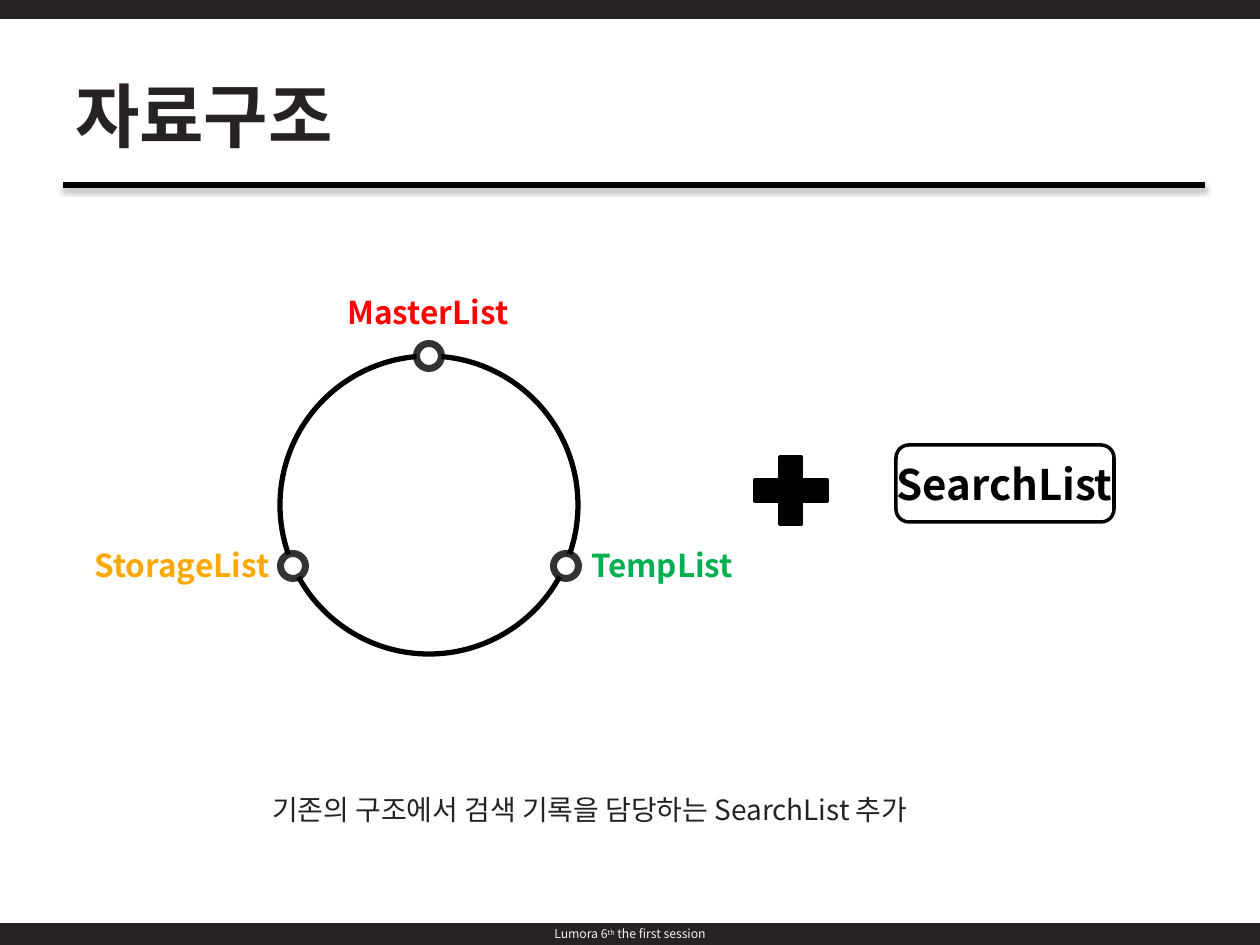
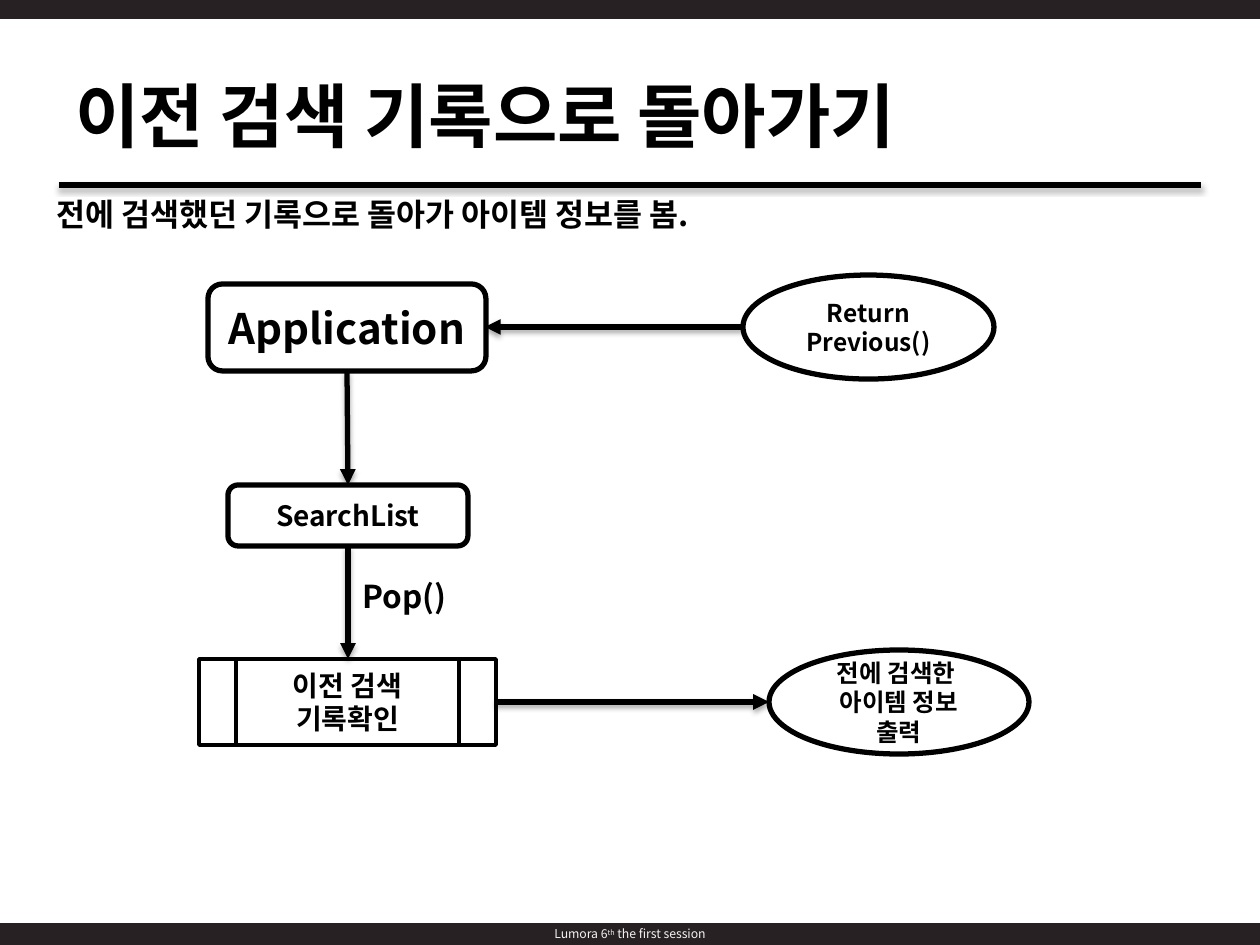
from lxml import etree
from pptx import Presentation
from pptx.dml.color import RGBColor
from pptx.enum.shapes import MSO_CONNECTOR, MSO_SHAPE
from pptx.enum.text import MSO_ANCHOR, PP_ALIGN
from pptx.oxml.ns import qn
from pptx.util import Pt

SCALE = 914400 / 126  # EMU in one pixel
WIDTH, HEIGHT = 1260, 945
FONT = "Noto Sans CJK KR"

DARK = RGBColor(0x27, 0x21, 0x23)
BLACK = RGBColor(0, 0, 0)
WHITE = RGBColor(0xFF, 0xFF, 0xFF)
PALE = RGBColor(0xF2, 0xF2, 0xF2)
RED = RGBColor(0xFF, 0, 0)
ORANGE = RGBColor(0xFD, 0xA8, 0)
GREEN = RGBColor(0, 0xB0, 0x50)

RECTANGLE = MSO_SHAPE.RECTANGLE
ROUNDED = MSO_SHAPE.ROUNDED_RECTANGLE
OVAL = MSO_SHAPE.OVAL
PLUS = MSO_SHAPE.MATH_PLUS
PROCESS = MSO_SHAPE.FLOWCHART_PREDEFINED_PROCESS
STRAIGHT = MSO_CONNECTOR.STRAIGHT
LEFT, CENTER = PP_ALIGN.LEFT, PP_ALIGN.CENTER
TOP, MIDDLE = MSO_ANCHOR.TOP, MSO_ANCHOR.MIDDLE


def add_item(slide, box, text="", kind=None, fill=None, line=None, line_width=3,
             size=18, color=BLACK, bold=True, align=CENTER):
    """Add a text box, or a shape of the given kind; ^ marks off superscript."""
    box = [round(length * SCALE) for length in box]
    if kind is None:
        shape = slide.shapes.add_textbox(*box)
    else:
        shape = slide.shapes.add_shape(kind, *box)
        shape.shadow.inherit = False
        if fill is None:
            shape.fill.background()
        else:
            shape.fill.solid()
            shape.fill.fore_color.rgb = fill
        if line is None:
            shape.line.fill.background()
        else:
            shape.line.color.rgb = line
            shape.line.width = Pt(line_width)
    if not text:
        return shape
    frame = shape.text_frame
    frame.word_wrap = True
    frame.vertical_anchor = TOP if kind is None else MIDDLE
    for row, row_text in enumerate(text.split("\n")):
        paragraph = frame.paragraphs[0] if row == 0 else frame.add_paragraph()
        paragraph.alignment = align
        for part, part_text in enumerate(row_text.split("^")):
            run = paragraph.add_run()
            run.text = part_text
            run.font.name = FONT
            run.font.size = Pt(size)
            run.font.bold = bold
            run.font.color.rgb = color
            properties = run._r.get_or_add_rPr()
            etree.SubElement(properties, qn("a:ea"), typeface=FONT)
            if part % 2:
                properties.set("baseline", "30000")
    return shape


def add_line(slide, start, end, arrow=True):
    """Add a black line with a soft shadow below it."""
    points = [round(length * SCALE) for length in (*start, *end)]
    connector = slide.shapes.add_connector(STRAIGHT, *points)
    connector.line.color.rgb = BLACK
    connector.line.width = Pt(3)
    properties = connector._element.spPr
    if arrow:
        etree.SubElement(properties.find(qn("a:ln")), qn("a:tailEnd"), type="triangle")
    effects = etree.SubElement(properties, qn("a:effectLst"))
    shadow = etree.SubElement(effects, qn("a:outerShdw"), blurRad=str(Pt(3.1)),
                              dist=str(Pt(1.8)), dir="5400000", rotWithShape="0")
    shadow_color = etree.SubElement(shadow, qn("a:srgbClr"), val="000000")
    etree.SubElement(shadow_color, qn("a:alpha"), val="35000")


presentation = Presentation()
presentation.slide_width = round(WIDTH * SCALE)
presentation.slide_height = round(HEIGHT * SCALE)
blank_layout = presentation.slide_layouts[6]

# Shared bands, title and rule: title, its colour, left end of the rule
slides = []
for title, title_color, rule_left in [
    ("자료구조", DARK, 63),
    ("이전 검색 기록으로 돌아가기", BLACK, 59),
]:
    slide = presentation.slides.add_slide(blank_layout)
    add_item(slide, (0, 923, WIDTH, 22), "Lumora 6^th^ the first session",
             kind=RECTANGLE, fill=DARK, size=7, color=PALE, bold=False)
    add_item(slide, (0, 0, WIDTH, 19), kind=RECTANGLE, fill=DARK)
    add_line(slide, (rule_left, 185), (rule_left + 1142, 185), arrow=False)
    add_item(slide, (63, 66, 1134, 97), title, size=40, color=title_color, align=LEFT)
    slides.append(slide)
structure_slide, history_slide = slides

# Slide 1: ring of three lists
add_item(structure_slide, (280, 356, 298, 298), kind=OVAL, line=BLACK)
node_size = 25
for name, label_box, color, (center_x, center_y) in [
    ("MasterList", (316, 287, 224, 50), RED, (429, 356)),
    ("StorageList", (62, 540, 240, 50), ORANGE, (293, 566)),
    ("TempList", (572, 540, 180, 50), GREEN, (566, 566)),
]:
    add_item(structure_slide, label_box, name, color=color)
    node = add_item(
        structure_slide,
        (center_x - node_size / 2, center_y - node_size / 2, node_size, node_size),
        kind=OVAL, fill=WHITE, line=BLACK, line_width=4)
    outline = node._element.spPr.find(qn("a:ln"))
    line_color = outline.find(".//" + qn("a:srgbClr"))
    etree.SubElement(line_color, qn("a:alpha"), val="80000")

# Slide 1: added search list and caption
add_item(structure_slide, (742, 445, 98, 91), kind=PLUS, fill=BLACK, line=BLACK, line_width=2)
add_item(structure_slide, (896, 445, 218, 77), kind=ROUNDED, line=BLACK, line_width=2)
add_item(structure_slide, (866, 452, 277, 63), "SearchList", size=24)
add_item(structure_slide, (260, 786, 804, 47),
         "기존의 구조에서 검색 기록을 담당하는 SearchList 추가",
         size=16, color=DARK, bold=False, align=LEFT)

# Slide 2: subtitle
add_item(history_slide, (44, 189, 804, 50),
         "전에 검색했던 기록으로 돌아가 아이템 정보를 봄.", align=LEFT)

# Slide 2: arrows between the steps
for start, end in [
    ((743, 327), (485, 327)),
    ((347, 371), (348, 485)),
    ((348, 546), (348, 659)),
    ((496, 702), (769, 702)),
]:
    add_line(history_slide, start, end)

# Slide 2: steps of the flow
for text, kind, box, fill, line_width, size in [
    ("Application", ROUNDED, (208, 284, 278, 87), WHITE, 3, 24),
    ("Return\nPrevious()", OVAL, (743, 275, 251, 104), WHITE, 3, 14),
    ("SearchList", ROUNDED, (228, 485, 240, 61), WHITE, 3, 16),
    ("이전 검색 기록확인", PROCESS, (199, 659, 297, 86), None, 2, 16),
    ("전에 검색한 \n아이템 정보 출력", OVAL, (769, 650, 260, 104), WHITE, 3, 14),
]:
    add_item(history_slide, box, text, kind=kind, fill=fill, line=BLACK,
             line_width=line_width, size=size)
add_item(history_slide, (350, 571, 115, 50), "Pop()", align=LEFT)

presentation.save("out.pptx")
